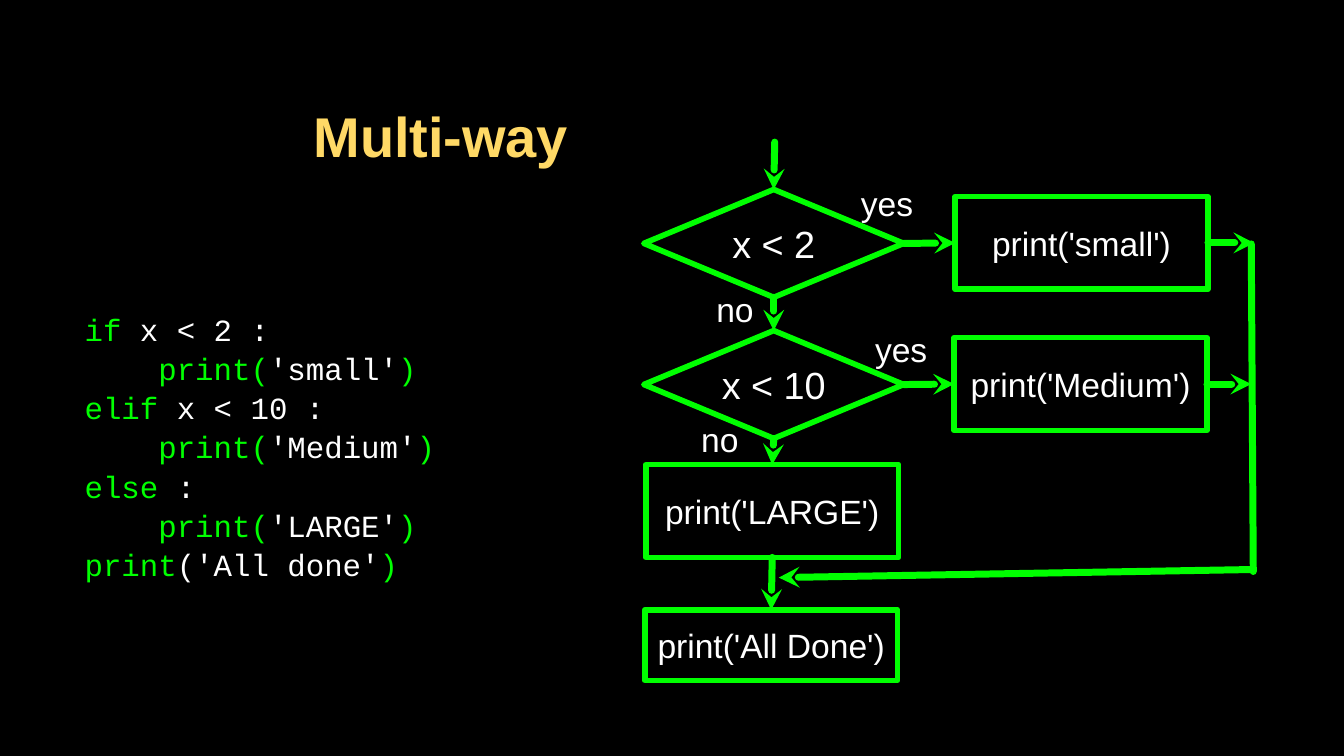
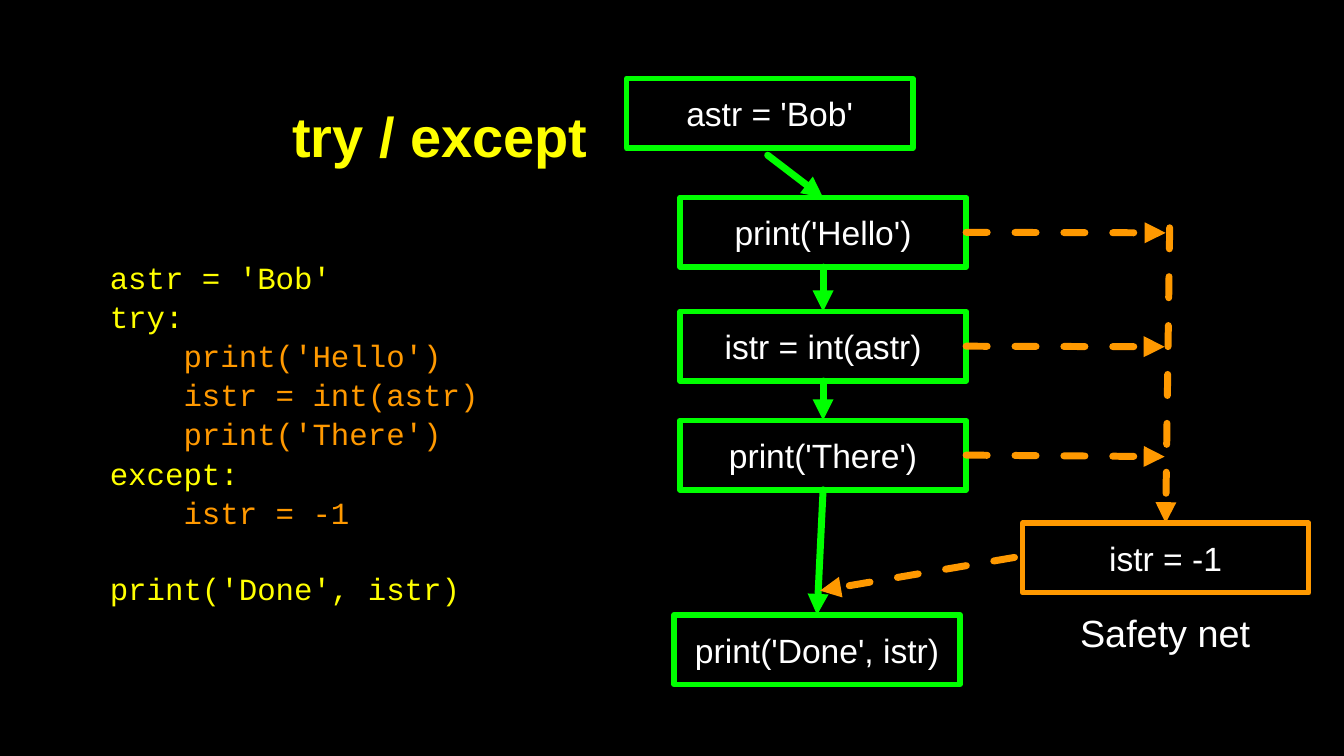
from dataclasses import dataclass

from lxml import etree
from pptx import Presentation
from pptx.dml.color import RGBColor
from pptx.enum.dml import MSO_LINE
from pptx.enum.shapes import MSO_CONNECTOR, MSO_SHAPE
from pptx.enum.text import MSO_ANCHOR, MSO_AUTO_SIZE, PP_ALIGN
from pptx.oxml.ns import qn
from pptx.util import Pt

RECT, DIAMOND = MSO_SHAPE.RECTANGLE, MSO_SHAPE.DIAMOND
STRAIGHT, DASH = MSO_CONNECTOR.STRAIGHT, MSO_LINE.DASH
LEFT, CENTER, RIGHT = PP_ALIGN.LEFT, PP_ALIGN.CENTER, PP_ALIGN.RIGHT
MIDDLE, FIXED = MSO_ANCHOR.MIDDLE, MSO_AUTO_SIZE.NONE
TOP, WEST, BOTTOM, EAST = range(4)
PX = 9144


@dataclass(frozen=True)
class Theme:
    back: str = "000000"
    white: str = "FFFFFF"
    green: str = "00FF00"
    gold: str = "FFD966"
    yellow: str = "FFFF00"
    orange: str = "FF9900"
    sans: str = "Arial"
    mono: str = "Courier New"
    title: int = 40
    large: int = 27
    label: int = 24
    code: int = 22
    border: int = 4
    stroke: int = 5
    pitch: float = 1.06
    gap: float = 26.4


LOOK = Theme()


def rgb(code):
    return RGBColor.from_string(code)


def write(shape, lines, size=LOOK.label, font=LOOK.sans, color=LOOK.white,
          bold=False, align=CENTER, inset=0, pitch=1.0, gaps=()):
    frame = shape.text_frame
    frame.word_wrap = True
    frame.auto_size = FIXED
    frame.vertical_anchor = MIDDLE
    frame.margin_left = frame.margin_right = inset * PX
    frame.margin_top = frame.margin_bottom = inset * PX
    for i, line in enumerate(lines):
        para = frame.add_paragraph() if i else frame.paragraphs[0]
        para.alignment = align
        para.line_spacing = pitch
        para.space_before = Pt(LOOK.gap if i in gaps else 0)
        for text, tint in [(line, color)] if isinstance(line, str) else line:
            run = para.add_run()
            run.text = text
            run.font.size = Pt(size)
            run.font.name = font
            run.font.bold = bold
            run.font.color.rgb = rgb(tint)


class Deck:
    """Builds flow chart slides in one style."""

    def __init__(self, width, height):
        self.file = Presentation()
        self.file.slide_width = width * PX
        self.file.slide_height = height * PX
        fill = self.file.slide_master.background.fill
        fill.solid()
        fill.fore_color.rgb = rgb(LOOK.back)

    def start(self, text, width, color):
        self.slide = self.file.slides.add_slide(self.file.slide_layouts[5])
        self.shapes = self.slide.shapes
        title = self.shapes.title
        title.left, title.top = 95 * PX, 61 * PX
        title.width, title.height = width * PX, 147 * PX
        write(title, [text], size=LOOK.title, color=color, bold=True,
              align=RIGHT, inset=3)

    def text(self, place, lines, **style):
        box = self.shapes.add_textbox(*(n * PX for n in place))
        write(box, lines, **style)

    def code(self, place, lines, **style):
        self.text(place, lines, size=LOOK.code, font=LOOK.mono, align=LEFT,
                  pitch=LOOK.pitch, **style)

    def node(self, place, text, kind=RECT, color=LOOK.green, size=LOOK.label):
        shape = self.shapes.add_shape(kind, *(n * PX for n in place))
        shape.shadow.inherit = False
        shape.fill.background()
        shape.line.color.rgb = rgb(color)
        shape.line.width = Pt(LOOK.border)
        write(shape, [text], size=size)
        return shape

    def link(self, start, end, color=LOOK.green, head="stealth", dash=None):
        ends = [p if isinstance(p[0], int) else (0, 0) for p in (start, end)]
        line = self.shapes.add_connector(
            STRAIGHT, *(n * PX for p in ends for n in p))
        if not isinstance(start[0], int):
            line.begin_connect(*start)
        if not isinstance(end[0], int):
            line.end_connect(*end)
        line.line.color.rgb = rgb(color)
        line.line.width = Pt(LOOK.stroke)
        if dash:
            line.line.dash_style = dash
        props = line.element.spPr
        etree.SubElement(props, qn("a:effectLst"))
        stroke = props.find(qn("a:ln"))
        stroke.set("cap", "rnd")
        etree.SubElement(stroke, qn("a:round"))
        if head:
            etree.SubElement(stroke, qn("a:tailEnd"), type=head)


def branch(deck):
    deck.start("Multi-way", 472, LOOK.gold)
    green, white = LOOK.green, LOOK.white

    def call(word):
        return [("    print(", green), (f"'{word}'", white), (")", green)]

    deck.code((84, 259, 418, 366), [
        [("if", green), (" x < 2 :", white)],
        call("small"),
        [("elif", green), (" x < 10 :", white)],
        call("Medium"),
        [("else", green), (" :", white)],
        call("LARGE"),
        [("print", green), ("('All done'", white), (")", green)],
    ])

    tests = []
    for top, test, word, left, join in ((188, "x < 2", "small", 948, 1245),
                                        (328, "x < 10", "Medium", 947, 1242)):
        ask = deck.node((639, top, 258, 107), test, DIAMOND, size=LOOK.large)
        act = deck.node((left, top + 7, 251, 92), f"print('{word}')")
        deck.link((ask, EAST), (act, WEST))
        deck.link((act, EAST), (join, top + 53))
        tests.append(ask)
    first, second = tests
    last = deck.node((641, 461, 251, 92), "print('LARGE')")
    done = deck.node((640, 605, 251, 70), "print('All Done')")

    deck.link((769, 141), (first, TOP))
    for above, below in ((first, second), (second, last), (last, done)):
        deck.link((above, BOTTOM), (below, TOP))
    deck.link((1242, 242), (1244, 567), head=None)
    deck.link((1243, 565), (773, 573))

    for place, word in (((852, 181, 57, 40), "yes"),
                        ((863, 326, 63, 40), "yes"),
                        ((710, 287, 39, 40), "no"),
                        ((695, 416, 39, 40), "no")):
        deck.text(place, [word])


def rescue(deck):
    deck.start("try / except", 491, LOOK.yellow)
    orange = LOOK.orange
    deck.code((109, 233, 424, 390), [
        "astr = 'Bob'",
        "try:",
        [("    print('Hello')", orange)],
        [("    istr = int(astr)", orange)],
        [("    print('There')", orange)],
        "except:",
        [("    istr = -1", orange)],
        "print('Done', istr)",
    ], color=LOOK.yellow, gaps=(7,))

    def step(left, top, text, **style):
        return deck.node((left, top, 284, 69), text, **style)

    def jump(start, end):
        deck.link(start, end, color=orange, head="triangle", dash=DASH)

    step(622, 78, "astr = 'Bob'")
    steps = [step(675, 196, "print('Hello')"),
             step(675, 309, "istr = int(astr)"),
             step(675, 417, "print('There')"),
             step(669, 610, "print('Done', istr)")]
    net = step(1015, 519, "istr = -1", color=orange)

    deck.link((762, 154), (steps[0], TOP), head="triangle")
    for above, below in zip(steps, steps[1:]):
        deck.link((above, BOTTOM), (below, TOP), head="triangle")
    for item, end in zip(steps, ((1157, 231), (1156, 344), (1156, 453))):
        jump((item, EAST), end)
    jump((1161, 226), (net, TOP))
    jump((1007, 553), (814, 586))
    deck.text((1060, 602, 193, 51), ["Safety net"], size=LOOK.large)


def main():
    deck = Deck(1334, 750)
    branch(deck)
    rescue(deck)
    deck.file.save("out.pptx")


if __name__ == "__main__":
    main()
